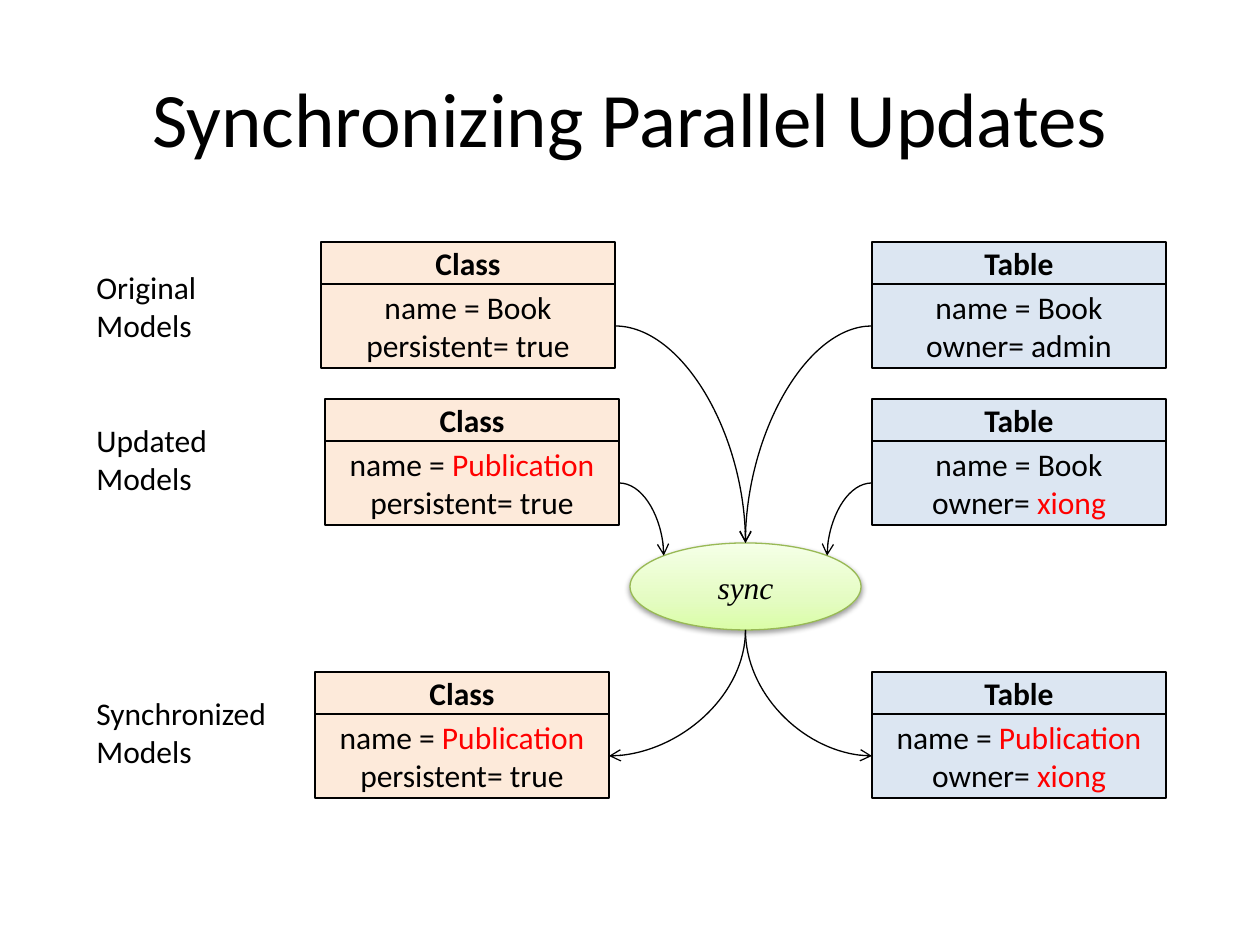
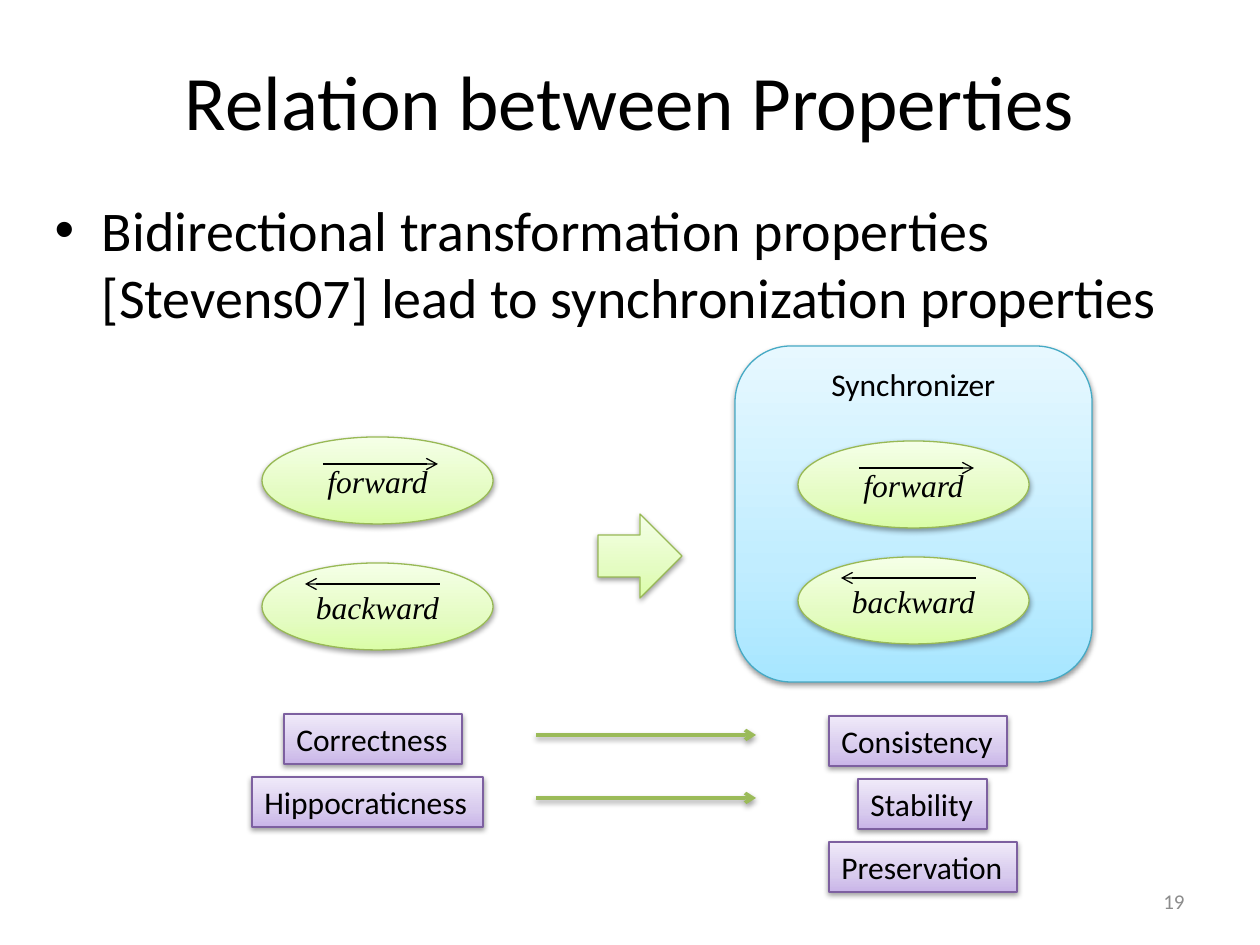
from copy import deepcopy
from dataclasses import dataclass
from math import sqrt
from typing import NamedTuple

from pptx import Presentation
from pptx.dml.color import RGBColor
from pptx.enum.shapes import MSO_CONNECTOR as Link, MSO_SHAPE as Preset
from pptx.enum.text import MSO_ANCHOR as Anchor, MSO_AUTO_SIZE as AutoSize, PP_ALIGN as Align
from pptx.oxml.ns import qn
from pptx.oxml.xmlchemy import OxmlElement
from pptx.util import Emu, Pt

EMU_PER_PIXEL = 914400 / 126
BODY_FONT, TERM_FONT = "Calibri", "Times New Roman"
BLACK = RGBColor(0x00, 0x00, 0x00)
RED = RGBColor(0xFF, 0x00, 0x00)
GRAY = RGBColor(0x8C, 0x8C, 0x8C)
PEACH = RGBColor(0xFD, 0xEA, 0xDA)
PALE_BLUE = RGBColor(0xDC, 0xE6, 0xF2)
ARROW_GREEN = RGBColor(0x9B, 0xBB, 0x59)


class Theme(NamedTuple):
    """Gradient from bottom to top, and the outline that goes with it."""
    bottom: RGBColor
    middle: RGBColor
    top: RGBColor
    outline: RGBColor


GREEN = Theme(RGBColor(0xDA, 0xFD, 0xA7), RGBColor(0xE4, 0xFC, 0xC2),
              RGBColor(0xF5, 0xFF, 0xE7), RGBColor(0x98, 0xB9, 0x55))
BLUE = Theme(RGBColor(0xA7, 0xE6, 0xFF), RGBColor(0xC1, 0xED, 0xFF),
             RGBColor(0xE7, 0xF8, 0xFF), RGBColor(0x46, 0xAA, 0xC5))
PURPLE = Theme(RGBColor(0xC9, 0xB5, 0xE8), RGBColor(0xD8, 0xCB, 0xEE),
               RGBColor(0xF0, 0xEA, 0xF9), RGBColor(0x7D, 0x60, 0xA0))


class Box(NamedTuple):
    """Left, top, width and height in pixels."""
    left: float
    top: float
    width: float
    height: float


class Point(NamedTuple):
    """A place on the slide in pixels."""
    x: float
    y: float


class Field(NamedTuple):
    """One attribute of a model object; a changed value is red."""
    key: str
    value: str
    changed: bool = False


@dataclass
class Stage:
    """One row of the diagram: its label, class and table."""
    label: list[str]
    label_top: int
    top: int
    class_left: int
    class_fields: list[Field]
    table_fields: list[Field]


@dataclass
class Badge:
    """A named property in a purple box."""
    name: str
    left: int
    top: int
    width: int


RECORD_WIDTH, HEADER_HEIGHT, FIELDS_HEIGHT = 294, 42, 84
TABLE_LEFT = 872
OVAL_WIDTH, OVAL_HEIGHT = 231, 87
TEXT_HEIGHT = 50
PERSISTENT = Field("persistent= ", "true")
BOOK = Field("name = ", "Book")
PUBLICATION = Field("name = ", "Publication", True)
NEW_OWNER = Field("owner= ", "xiong", True)

STAGES = [
    Stage(["Original", "Models"], 262, 242, 321,
          [BOOK, PERSISTENT], [BOOK, Field("owner= ", "admin")]),
    Stage(["Updated", "Models"], 415, 399, 325,
          [PUBLICATION, PERSISTENT], [BOOK, NEW_OWNER]),
    Stage(["Synchronized", "Models"], 688, 672, 315,
          [PUBLICATION, PERSISTENT], [PUBLICATION, NEW_OWNER]),
]
BADGE_PITCH = 63
BADGES = [
    Badge("Correctness", 284, 714, 178),
    Badge("Hippocraticness", 252, 714 + BADGE_PITCH, 231),
    Badge("Consistency", 829, 716, 178),
    Badge("Stability", 858, 716 + BADGE_PITCH, 129),
    Badge("Preservation", 829, 716 + 2 * BADGE_PITCH, 188),
]


def px(pixels: float) -> Emu:
    """Turn pixels into EMU."""
    return Emu(round(pixels * EMU_PER_PIXEL))


def place(box: Box) -> list[Emu]:
    """Turn a box into EMU lengths."""
    return [px(length) for length in box]


def format_runs(frame, size=18, font=BODY_FONT, color=BLACK, bold=None, italic=None, align=None):
    """Give all runs of a text frame one format."""
    for paragraph in frame.paragraphs:
        paragraph.alignment = align
        for run in paragraph.runs:
            run.font.size, run.font.name = Pt(size), font
            run.font.bold, run.font.italic = bold, italic
            run.font.color.rgb = color


def add_text(slide, box: Box, lines: list[str], wrap=True, **style):
    """Add a text box with one paragraph a line."""
    frame = slide.shapes.add_textbox(*place(box)).text_frame
    frame.text = "\n".join(lines)
    frame.word_wrap = wrap
    frame.auto_size = AutoSize.SHAPE_TO_FIT_TEXT
    format_runs(frame, **style)
    return frame


def add_titled_slide(deck, layout: int, title: str, top: int):
    """Add a slide and set its title."""
    slide = deck.slides.add_slide(deck.slide_layouts[layout])
    heading = slide.shapes.title
    heading.left, heading.top, heading.width, heading.height = place(Box(63, top, 1134, 157))
    heading.text_frame.text = title
    heading.text_frame.vertical_anchor = Anchor.MIDDLE
    format_runs(heading.text_frame, 44, align=Align.CENTER)
    return slide


def cast_shadow(effects):
    """Put a soft shadow below into an effect list."""
    shadow = OxmlElement("a:outerShdw")
    for key, value in dict(blurRad=40000, dist=20000, dir=5400000, rotWithShape=0).items():
        shadow.set(key, str(value))
    tint, alpha = OxmlElement("a:srgbClr"), OxmlElement("a:alpha")
    tint.set("val", "000000")
    alpha.set("val", "38000")
    tint.append(alpha)
    shadow.append(tint)
    effects.append(shadow)


def add_glossy(slide, preset, box: Box, theme: Theme):
    """Add a shape with a gradient, an outline and a shadow."""
    shape = slide.shapes.add_shape(preset, *place(box))
    properties = shape.element.spPr
    shape.fill.gradient()
    shape.fill.gradient_angle = 90
    stops = properties.find(".//" + qn("a:gsLst"))
    stops.insert(1, deepcopy(stops[0]))
    for stop, position, color in zip(shape.fill.gradient_stops, (0, 0.35, 1), theme):
        stop.position, stop.color.rgb = position, color
    shape.line.color.rgb, shape.line.width = theme.outline, Pt(0.75)
    shape.shadow.inherit = False
    cast_shadow(properties.find(qn("a:effectLst")))
    return shape


def add_oval(slide, left: int, top: int, term: str) -> Box:
    """Add a green oval that names a transformation."""
    box = Box(left, top, OVAL_WIDTH, OVAL_HEIGHT)
    frame = add_glossy(slide, Preset.OVAL, box, GREEN).text_frame
    frame.text = term
    format_runs(frame, font=TERM_FONT, italic=True, align=Align.CENTER)
    return box


def add_arrow(slide, start: Point, end: Point, kind=Link.STRAIGHT,
              color=BLACK, width=0.75, shadow=False):
    """Add a connector with an open arrowhead at its end."""
    arrow = slide.shapes.add_connector(kind, px(start.x), px(start.y), px(end.x), px(end.y))
    arrow.line.color.rgb, arrow.line.width = color, Pt(width)
    properties = arrow.element.spPr
    head = OxmlElement("a:tailEnd")
    head.set("type", "arrow")
    properties.find(qn("a:ln")).append(head)
    effects = OxmlElement("a:effectLst")
    properties.append(effects)
    if shadow:
        cast_shadow(effects)
    return arrow


def add_bend(slide, start: Point, end: Point, leaves_down=False):
    """Add a quarter-turn arrow that leaves sideways, or downwards."""
    turn = 0
    if leaves_down:
        leftward = end.x < start.x
        turn = 90 if leftward else 270
        center = Point((start.x + end.x) / 2, (start.y + end.y) / 2)
        across, down = abs(end.y - start.y) / 2, abs(end.x - start.x) / 2
        across = across if leftward else -across
        start = Point(center.x - across, center.y - down)
        end = Point(center.x + across, center.y + down)
    properties = add_arrow(slide, start, end, Link.CURVE).element.spPr
    properties.find(qn("a:prstGeom")).set("prst", "curvedConnector2")
    if turn:
        properties.find(qn("a:xfrm")).set("rot", str(turn * 60000))


def add_record(slide, left: int, top: int, heading: str, fields: list[Field], color: RGBColor):
    """Add a model object: a heading cell above its fields."""
    cells = [Box(left, top, RECORD_WIDTH, HEADER_HEIGHT),
             Box(left, top + HEADER_HEIGHT, RECORD_WIDTH, FIELDS_HEIGHT)]
    frames = []
    for box in cells:
        cell = slide.shapes.add_shape(Preset.RECTANGLE, *place(box))
        cell.fill.solid()
        cell.fill.fore_color.rgb = color
        cell.line.color.rgb, cell.line.width = BLACK, Pt(0.75)
        cell.shadow.inherit = False
        cell.text_frame.word_wrap = False
        frames.append(cell.text_frame)
    title, content = frames
    title.text = heading
    format_runs(title, bold=True, align=Align.CENTER)
    content.text = "\n".join(field.key for field in fields)
    values = [paragraph.add_run() for paragraph in content.paragraphs]
    for run, field in zip(values, fields):
        run.text = field.value
    format_runs(content, align=Align.CENTER)
    for run, field in zip(values, fields):
        run.font.color.rgb = RED if field.changed else BLACK


def build_updates(deck):
    """Draw the slide on synchronizing parallel updates."""
    slide = add_titled_slide(deck, 5, "Synchronizing Parallel Updates", 38)
    for stage in STAGES:
        add_record(slide, stage.class_left, stage.top, "Class", stage.class_fields, PEACH)
        add_record(slide, TABLE_LEFT, stage.top, "Table", stage.table_fields, PALE_BLUE)
        add_text(slide, Box(84, stage.label_top, 220, 89), stage.label)
    sync = add_oval(slide, 630, 543, "sync")
    middle = Point(sync.left + sync.width / 2, sync.top + sync.height / 2)
    reach_x, reach_y = sync.width / sqrt(8), sync.height / sqrt(8)
    ports = [
        (Point(middle.x, sync.top),) * 2,
        (Point(middle.x - reach_x, middle.y - reach_y),
         Point(middle.x + reach_x, middle.y - reach_y)),
        (Point(middle.x, sync.top + sync.height),) * 2,
    ]
    for stage, sync_ports in zip(STAGES, ports):
        side = stage.top + HEADER_HEIGHT + FIELDS_HEIGHT / 2
        records = Point(stage.class_left + RECORD_WIDTH, side), Point(TABLE_LEFT, side)
        for record, port in zip(records, sync_ports):
            if stage is STAGES[-1]:
                add_bend(slide, port, record, leaves_down=True)
            else:
                add_bend(slide, record, port)


def build_properties(deck):
    """Draw the slide on the relation between properties."""
    slide = add_titled_slide(deck, 1, "Relation between Properties", 21)
    claim = slide.placeholders[1]
    claim.left, claim.top, claim.width, claim.height = place(Box(42, 189, 1134, 624))
    claim.text_frame.text = ("Bidirectional transformation properties [Stevens07] "
                             "lead to synchronization properties")
    format_runs(claim.text_frame, 32)
    add_glossy(slide, Preset.ROUNDED_RECTANGLE, Box(735, 346, 357, 336), BLUE)
    add_text(slide, Box(819, 359, 192, TEXT_HEIGHT), ["Synchronizer"], wrap=False)
    add_glossy(slide, Preset.RIGHT_ARROW, Box(598, 514, 84, 84), GREEN)
    for left, forward_top, backward_top in ((262, 437, 563), (798, 441, 557)):
        for term, top, start, end, drop in (("forward", forward_top, 61, 176, 27),
                                            ("backward", backward_top, 178, 43, 21)):
            add_oval(slide, left, top, term)
            add_arrow(slide, Point(left + start, top + drop), Point(left + end, top + drop))
    for badge in BADGES:
        box = Box(badge.left, badge.top, badge.width, TEXT_HEIGHT)
        frame = add_glossy(slide, Preset.RECTANGLE, box, PURPLE).text_frame
        frame.text = badge.name
        frame.word_wrap = False
        frame.auto_size = AutoSize.SHAPE_TO_FIT_TEXT
        format_runs(frame, align=Align.LEFT)
    for y in (735, 735 + BADGE_PITCH):
        add_arrow(slide, Point(536, y), Point(756, y), color=ARROW_GREEN, width=2, shadow=True)
    number = add_text(slide, Box(903, 876, 294, TEXT_HEIGHT), ["19"],
                      size=12, color=GRAY, align=Align.RIGHT)
    number.auto_size = AutoSize.NONE
    number.vertical_anchor = Anchor.MIDDLE


presentation = Presentation()
presentation.slide_width, presentation.slide_height = px(1260), px(945)
build_updates(presentation)
build_properties(presentation)
presentation.save("out.pptx")
